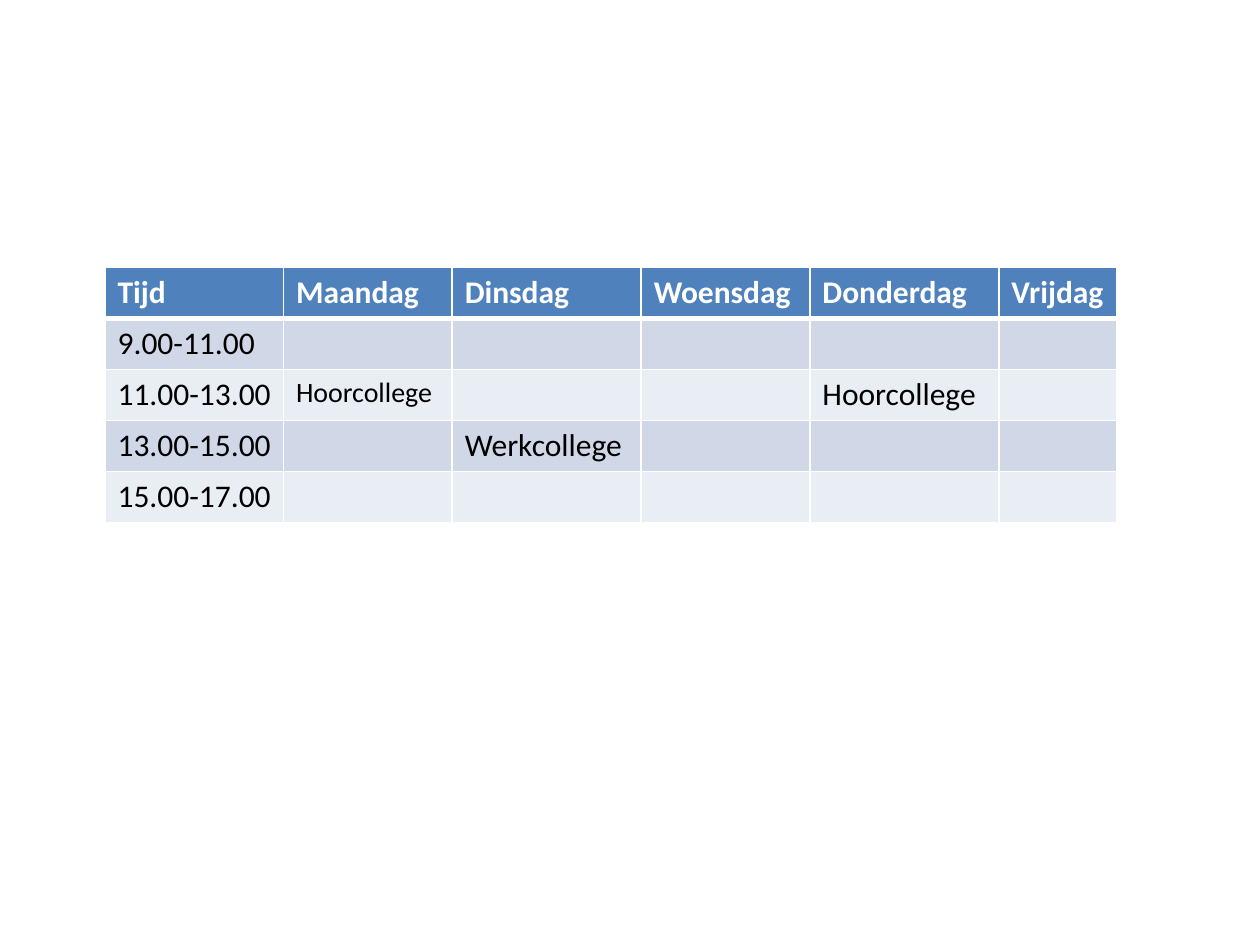
from lxml import etree
from pptx import Presentation
from pptx.dml.color import RGBColor
from pptx.oxml.ns import qn
from pptx.util import Pt

HEADERS = ["Tijd", "Maandag", "Dinsdag", "Woensdag", "Donderdag", "Vrijdag"]
TIMES = ["9.00-11.00", "11.00-13.00", "13.00-15.00", "15.00-17.00"]
CLASSES = {
    ("11.00-13.00", "Maandag"): "Hoorcollege",
    ("11.00-13.00", "Donderdag"): "Hoorcollege",
    ("13.00-15.00", "Dinsdag"): "Werkcollege",
}
SMALL_CELL = ("11.00-13.00", "Maandag")
COLORS = {"header": "4F81BD", "odd": "D0D8E8", "even": "E9EDF4",
          "white": "FFFFFF", "text": "000000"}
LEFT, TOP, ROW_HEIGHT = 60, 152.7, 29.2
COL_WIDTHS = [102, 96.4, 108, 96.4, 108, 67.6]


def set_borders(cell, widths):
    tcPr = cell._tc.get_or_add_tcPr()
    for side, width in widths.items():
        ln = etree.SubElement(tcPr, qn(f"a:ln{side}"), w=str(Pt(width)))
        fill = etree.SubElement(ln, qn("a:solidFill"))
        etree.SubElement(fill, qn("a:srgbClr"), val=COLORS["white"])


def format_cell(cell, text, size, row):
    set_borders(cell, {"L": 1, "R": 1, "T": 3 if row == 1 else 1,
                       "B": 3 if row == 0 else 1})
    band = "header" if row == 0 else "odd" if row % 2 else "even"
    cell.fill.solid()
    cell.fill.fore_color.rgb = RGBColor.from_string(COLORS[band])
    cell.text = text
    font = cell.text_frame.paragraphs[0].font
    font.name = "Calibri"
    font.size = Pt(size)
    font.bold = row == 0
    font.color.rgb = RGBColor.from_string(COLORS["white" if row == 0 else "text"])


def main():
    """Build the weekly timetable slide."""
    prs = Presentation()
    prs.slide_width, prs.slide_height = Pt(720), Pt(540)
    s = prs.slides.add_slide(prs.slide_layouts[6])
    rows = [HEADERS] + [[time] + [CLASSES.get((time, day), "") for day in HEADERS[1:]]
                        for time in TIMES]
    table = s.shapes.add_table(len(rows), len(HEADERS), Pt(LEFT), Pt(TOP),
                               Pt(sum(COL_WIDTHS)), Pt(ROW_HEIGHT * len(rows))).table
    for column, width in zip(table.columns, COL_WIDTHS):
        column.width = Pt(width)
    for r, texts in enumerate(rows):
        table.rows[r].height = Pt(ROW_HEIGHT)
        for c, text in enumerate(texts):
            size = 16 if (texts[0], HEADERS[c]) == SMALL_CELL else 18
            format_cell(table.cell(r, c), text, size, r)
    prs.save("out.pptx")


if __name__ == "__main__":
    main()
